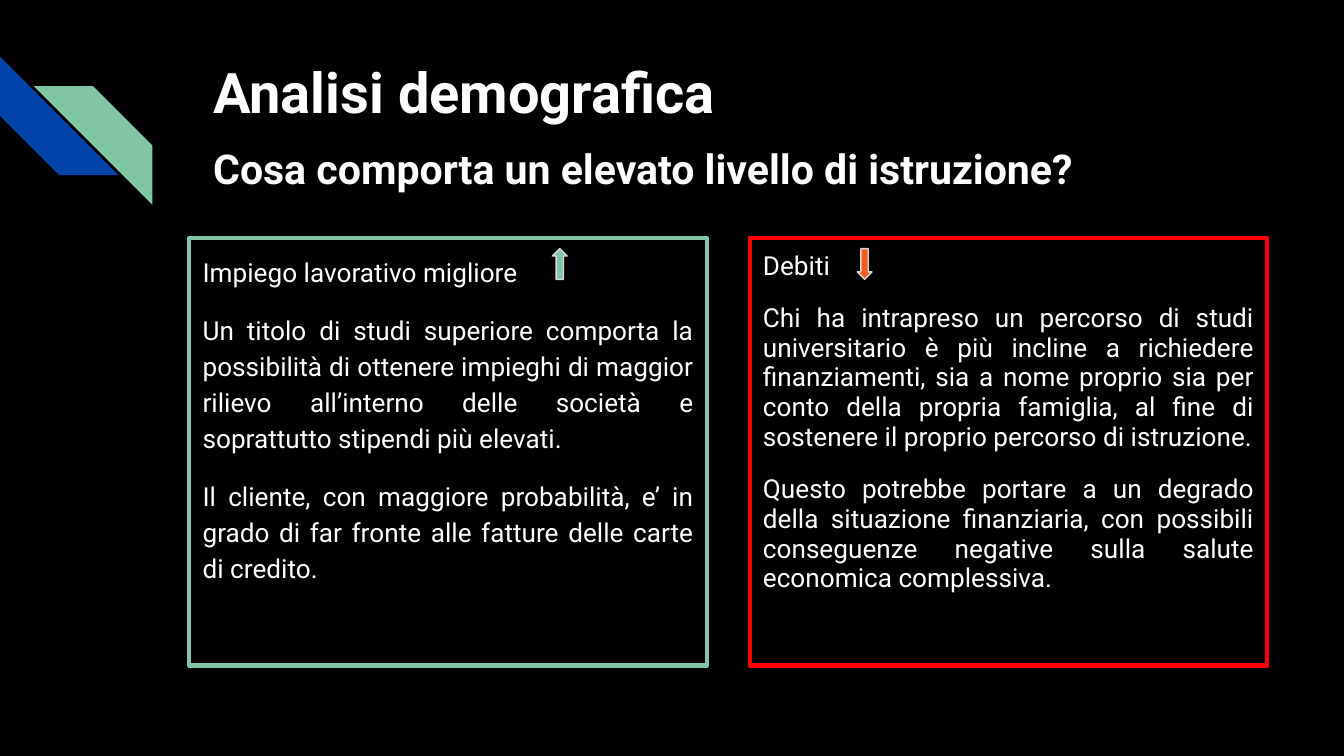
from dataclasses import dataclass

from pptx import Presentation
from pptx.dml.color import RGBColor
from pptx.enum.shapes import MSO_SHAPE
from pptx.enum.text import MSO_ANCHOR, PP_ALIGN
from pptx.util import Cm, Pt


@dataclass(frozen=True)
class Theme:
    font: str = "Roboto"
    background: str = "000000"
    text: str = "FFFFFF"
    blue: str = "0145AC"
    green: str = "82C7A5"
    red: str = "FF0000"
    orange: str = "F15E22"
    outline: str = "D9D9D9"
    title: int = 30
    subtitle: int = 22
    body: int = 14


class SlideBuilder:
    def __init__(self, slide, theme):
        self.s = slide
        self.theme = theme

    def background(self):
        fill = self.s.background.fill
        fill.solid()
        fill.fore_color.rgb = RGBColor.from_string(self.theme.background)

    def shape(self, kind, box, fill=None, line=None, width=0.75, rotation=0):
        sp = self.s.shapes.add_shape(kind, *map(Cm, box))
        sp.shadow.inherit = False
        sp.rotation = rotation
        if fill:
            sp.fill.solid()
            sp.fill.fore_color.rgb = RGBColor.from_string(fill)
        else:
            sp.fill.background()
        if line:
            sp.line.color.rgb = RGBColor.from_string(line)
            sp.line.width = Pt(width)
        else:
            sp.line.fill.background()
        return sp

    def set_text(self, sp, paragraphs, size, bold=False):
        tf = sp.text_frame
        tf.word_wrap = True
        tf.vertical_anchor = MSO_ANCHOR.TOP
        tf.margin_left = tf.margin_right = Cm(0.25)
        tf.margin_top = tf.margin_bottom = Cm(0.25)
        tf.text = "\n".join(paragraphs)
        for p in tf.paragraphs:
            p.alignment = PP_ALIGN.LEFT
            for r in p.runs:
                r.font.name = self.theme.font
                r.font.size = Pt(size)
                r.font.bold = bold
                r.font.color.rgb = RGBColor.from_string(self.theme.text)
        return tf

    def heading(self, box, text, size):
        sp = self.s.shapes.add_textbox(*map(Cm, box))
        self.set_text(sp, [text], size, bold=True)

    def panel(self, box, color, paragraphs, spacing, heading_align):
        sp = self.shape(MSO_SHAPE.RECTANGLE, box, line=color, width=2.25)
        tf = self.set_text(sp, paragraphs, self.theme.body)
        for p in tf.paragraphs:
            p.alignment = PP_ALIGN.JUSTIFY
            p.line_spacing = spacing
            p.space_before = Pt(12)
        tf.paragraphs[0].alignment = heading_align
        tf.paragraphs[0].space_before = Pt(0)
        tf.paragraphs[-1].space_after = Pt(12)

    def stripe(self, left, top, color, rotation):
        self.shape(MSO_SHAPE.DIAGONAL_STRIPE, (left, top, 2.24, 2.24),
                   fill=color, rotation=rotation)

    def arrow(self, left, color, rotation):
        self.shape(MSO_SHAPE.RIGHT_ARROW, (left, 4.85, 0.58, 0.28), fill=color,
                   line=self.theme.outline, rotation=rotation)


def main():
    prs = Presentation()
    prs.slide_width, prs.slide_height = Cm(25.4), Cm(14.29)
    theme = Theme()
    slide = SlideBuilder(prs.slides.add_slide(prs.slide_layouts[6]), theme)
    slide.background()

    # Corner decoration
    slide.stripe(0, 1.07, theme.blue, 270)
    slide.stripe(0.64, 1.63, theme.green, 90)

    # Advantages and drawbacks
    slide.panel((3.58, 4.5, 9.78, 8.08), theme.green, [
        "Impiego lavorativo migliore",
        "Un titolo di studi superiore comporta la possibilità di ottenere "
        "impieghi di maggior rilievo all’interno delle società e soprattutto "
        "stipendi più elevati.",
        "Il cliente, con maggiore probabilità, e’ in grado di far fronte alle "
        "fatture delle carte di credito.",
    ], 1.15, PP_ALIGN.JUSTIFY)
    slide.panel((14.17, 4.5, 9.78, 8.08), theme.red, [
        "Debiti",
        "Chi ha intrapreso un percorso di studi universitario è più incline a "
        "richiedere finanziamenti, sia a nome proprio sia per conto della "
        "propria famiglia, al fine di sostenere il proprio percorso di "
        "istruzione.",
        "Questo potrebbe portare a un degrado della situazione finanziaria, "
        "con possibili conseguenze negative sulla salute economica "
        "complessiva.",
    ], 0.95, PP_ALIGN.LEFT)

    # Trend arrows: up and down
    slide.arrow(10.29, theme.green, 270)
    slide.arrow(16.05, theme.orange, 90)

    # Headings
    slide.heading((3.78, 2.46, 19.25, 1.37),
                  "Cosa comporta un elevato livello di istruzione?",
                  theme.subtitle)
    slide.heading((3.78, 0.84, 19.43, 1.73), "Analisi demografica", theme.title)

    prs.save("out.pptx")


if __name__ == "__main__":
    main()
